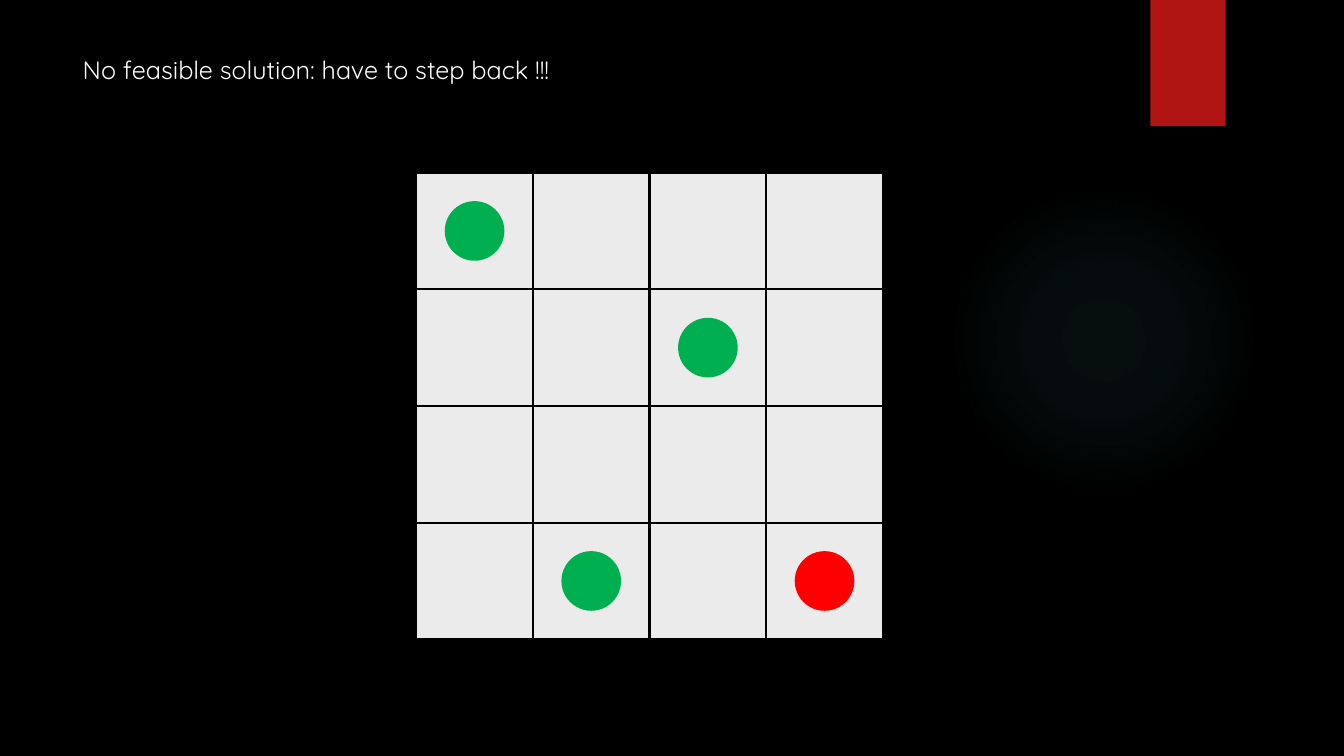
"""Build the four-queens slide that shows a dead end and the need to step back."""
from dataclasses import dataclass

from lxml import etree
from pptx import Presentation
from pptx import util as u
from pptx.dml.color import RGBColor
from pptx.enum import shapes, text
from pptx.oxml.ns import qn


@dataclass(frozen=True)
class Theme:
    background: str = "000000"
    title: str = "FFFFFF"
    glow: str = "50B9C1"
    bookmark: str = "B01513"
    cell: str = "EBEBEB"
    grid: str = "000000"
    safe: str = "00B050"
    conflict: str = "FF0000"
    font: str = "Quicksand"
    title_size: int = 18
    outline: float = 1.5


@dataclass(frozen=True)
class Box:
    left: float
    top: float
    width: float
    height: float


@dataclass(frozen=True)
class Queen:
    row: int
    column: int
    color: str


THEME = Theme()
BOARD_LEFT, BOARD_TOP = 10.49, 4.35
BOARD_SIZE = 4
CELL = 2.94
DISC = 1.45
GLOW_BOX = Box(23.9, 4.65, 7.82, 7.82)
BOOKMARK_BOX = Box(28.99, 0, 1.9, 3.18)
TITLE_BOX = Box(1.83, 1.24, 13.34, 1.02)
GLOW_STOPS = ((0, 7), (36, 6), (69, 0))
QUEENS = (
    Queen(0, 0, THEME.safe),
    Queen(3, 1, THEME.safe),
    Queen(1, 2, THEME.safe),
    Queen(3, 3, THEME.conflict),
)


def add_figure(slide, kind: shapes.MSO_SHAPE, box: Box, fill: str, line: str | None = None):
    """Add a filled shape, outlined only when a line colour is given."""
    figure = slide.shapes.add_shape(
        kind, u.Cm(box.left), u.Cm(box.top), u.Cm(box.width), u.Cm(box.height))
    figure.shadow.inherit = False
    figure.fill.solid()
    figure.fill.fore_color.rgb = RGBColor.from_string(fill)
    if line:
        figure.line.color.rgb = RGBColor.from_string(line)
        figure.line.width = u.Pt(THEME.outline)
    else:
        figure.line.fill.background()
    return figure


def add_glow(slide) -> None:
    """Add the faint disc that fades out from its centre."""
    glow = add_figure(slide, shapes.MSO_SHAPE.OVAL, GLOW_BOX, THEME.glow)
    properties = glow._element.spPr
    gradient = etree.Element(qn("a:gradFill"), rotWithShape="1")
    stops = etree.SubElement(gradient, qn("a:gsLst"))
    for position, opacity in GLOW_STOPS:
        stop = etree.SubElement(stops, qn("a:gs"), pos=str(position * 1000))
        color = etree.SubElement(stop, qn("a:srgbClr"), val=THEME.glow)
        etree.SubElement(color, qn("a:alpha"), val=str(opacity * 1000))
    circle = etree.SubElement(gradient, qn("a:path"), {"path": "circle"})
    etree.SubElement(circle, qn("a:fillToRect"), l="50000", t="50000", r="50000", b="50000")
    properties.replace(properties.find(qn("a:solidFill")), gradient)


def add_title(slide, wording: str) -> None:
    """Place and format the title placeholder."""
    title = slide.shapes.title
    title.left, title.top = u.Cm(TITLE_BOX.left), u.Cm(TITLE_BOX.top)
    title.width, title.height = u.Cm(TITLE_BOX.width), u.Cm(TITLE_BOX.height)
    frame = title.text_frame
    frame.text = wording
    frame.word_wrap = False
    frame.auto_size = text.MSO_AUTO_SIZE.SHAPE_TO_FIT_TEXT
    frame.vertical_anchor = text.MSO_ANCHOR.TOP
    line = frame.paragraphs[0]
    line.alignment = text.PP_ALIGN.LEFT
    font = line.runs[0].font
    font.name = THEME.font
    font.size = u.Pt(THEME.title_size)
    font.color.rgb = RGBColor.from_string(THEME.title)


def add_board(slide) -> None:
    """Draw the square cells row by row."""
    for row in range(BOARD_SIZE):
        for column in range(BOARD_SIZE):
            cell = Box(BOARD_LEFT + column * CELL, BOARD_TOP + row * CELL, CELL, CELL)
            add_figure(slide, shapes.MSO_SHAPE.RECTANGLE, cell, THEME.cell, THEME.grid)


def add_queen(slide, queen: Queen) -> None:
    """Centre a queen's disc in its cell."""
    inset = (CELL - DISC) / 2
    disc = Box(BOARD_LEFT + queen.column * CELL + inset,
               BOARD_TOP + queen.row * CELL + inset, DISC, DISC)
    add_figure(slide, shapes.MSO_SHAPE.OVAL, disc, queen.color, queen.color)


def main() -> None:
    """Assemble and save the slide."""
    deck = Presentation()
    deck.slide_width, deck.slide_height = u.Cm(33.87), u.Cm(19.05)
    slide = deck.slides.add_slide(deck.slide_layouts.get_by_name("Title Only"))
    slide.background.fill.solid()
    slide.background.fill.fore_color.rgb = RGBColor.from_string(THEME.background)
    add_glow(slide)
    add_figure(slide, shapes.MSO_SHAPE.RECTANGLE, BOOKMARK_BOX, THEME.bookmark)
    add_board(slide)
    for queen in QUEENS:
        add_queen(slide, queen)
    add_title(slide, "No feasible solution: have to step back !!!")
    deck.save("out.pptx")


if __name__ == "__main__":
    main()
